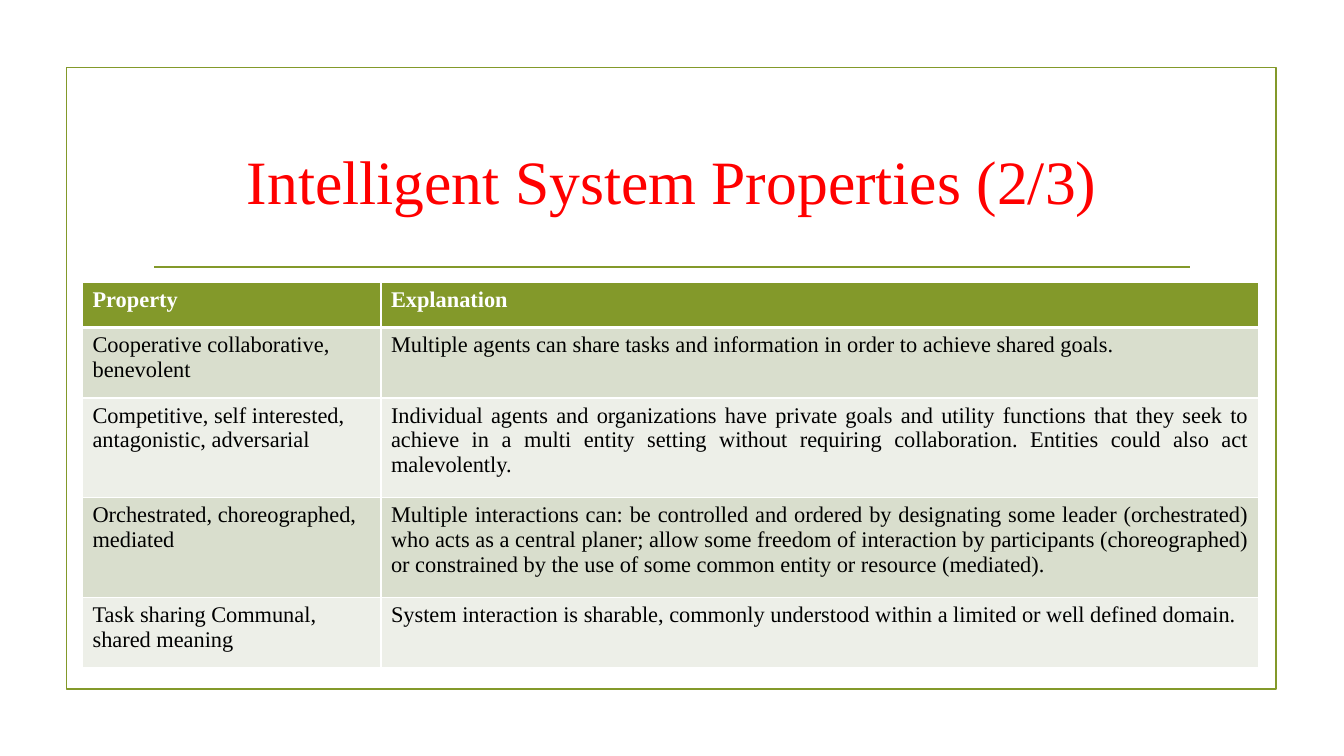
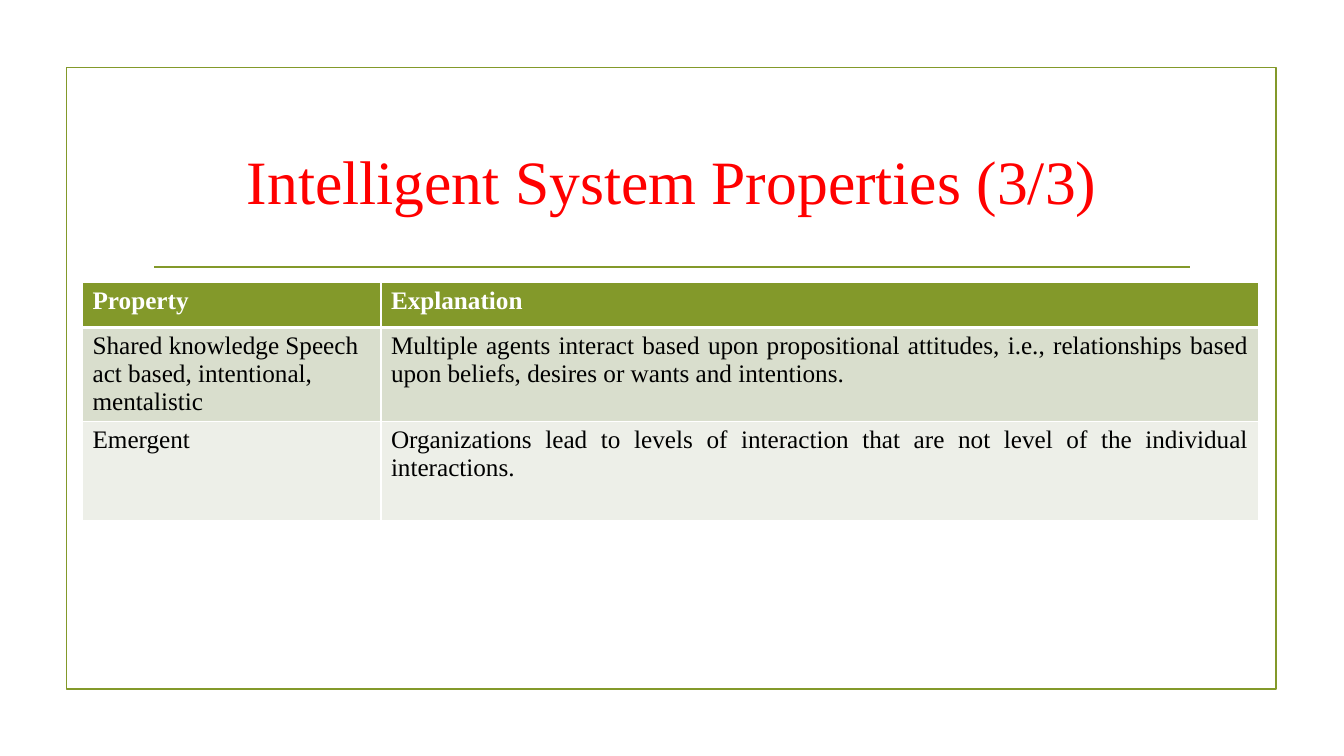
import dataclasses

import lxml.etree
import pptx
import pptx.dml.color
import pptx.enum.shapes
import pptx.enum.text
import pptx.oxml
import pptx.oxml.ns
import pptx.util

Cm = pptx.util.Cm
Pt = pptx.util.Pt
ALIGN = pptx.enum.text.PP_ALIGN


@dataclasses.dataclass(frozen=True)
class Theme:
    font: str = "Times New Roman"
    accent: str = "83992A"
    title: str = "FF0000"
    text: str = "000000"
    white: str = "FFFFFF"
    bands: tuple = ("D9DECD", "EDEFE8")
    title_size: int = 44
    line_width: float = 1.25
    border: int = 1
    header_border: int = 3


THEME = Theme()
HEADINGS = ("Property", "Explanation")
COLUMN_WIDTHS = (7.52, 22.12)
HEADER_HEIGHT = 1.14
SHORT, TALL = 1.78, 2.51

SLIDES = (
    ("Intelligent System Properties (2/3)", 16, (
        (SHORT, "Cooperative collaborative, benevolent",
         "Multiple agents can share tasks and information in order to achieve "
         "shared goals."),
        (TALL, "Competitive, self interested, antagonistic, adversarial",
         "Individual agents and organizations have private goals and utility "
         "functions that they seek to achieve in a multi entity setting without "
         "requiring collaboration. Entities could also act malevolently."),
        (TALL, "Orchestrated, choreographed, mediated",
         "Multiple interactions can: be controlled and ordered by designating "
         "some leader (orchestrated) who acts as a central planer; allow some "
         "freedom of interaction by participants (choreographed) or constrained "
         "by the use of some common entity or resource (mediated)."),
        (SHORT, "Task sharing Communal, shared meaning",
         "System interaction is sharable, commonly understood within a limited "
         "or well defined domain."),
    )),
    ("Intelligent System Properties (3/3)", 18, (
        (SHORT, "Shared knowledge Speech act based, intentional, mentalistic",
         "Multiple agents interact based upon propositional attitudes, i.e., "
         "relationships based upon beliefs, desires or wants and intentions."),
        (TALL, "Emergent",
         "Organizations lead to levels of interaction that are not level of the "
         "individual interactions."),
    )),
)


def rgb(color):
    return pptx.dml.color.RGBColor.from_string(color)


def style_line(line):
    line.color.rgb = rgb(THEME.accent)
    line.width = Pt(THEME.line_width)


def style_paragraph(p, size, color, align, bold=False):
    p.alignment = align
    p.font.name = THEME.font
    p.font.size = Pt(size)
    p.font.bold = bold
    p.font.color.rgb = rgb(color)


def add_frame(slide):
    sp = slide.shapes.add_shape(
        pptx.enum.shapes.MSO_SHAPE.RECTANGLE,
        Cm(1.68), Cm(1.7), Cm(30.48), Cm(15.67))
    sp.shadow.inherit = False
    sp.fill.background()
    style_line(sp.line)


def add_rule(slide):
    rule = slide.shapes.add_connector(
        pptx.enum.shapes.MSO_CONNECTOR.STRAIGHT,
        Cm(3.89), Cm(6.73), Cm(30), Cm(6.73))
    style_line(rule.line)
    lxml.etree.SubElement(
        rule.element.spPr, pptx.oxml.ns.qn("a:effectLst"))


def set_title(slide, text):
    sp = slide.shapes.title
    sp.left, sp.top, sp.width, sp.height = Cm(3.61), Cm(2.72), Cm(26.67), Cm(3.63)
    tf = sp.text_frame
    tf.text = text
    tf.auto_size = pptx.enum.text.MSO_AUTO_SIZE.NONE
    tf.vertical_anchor = pptx.enum.text.MSO_ANCHOR.MIDDLE
    style_paragraph(tf.paragraphs[0], THEME.title_size, THEME.title, ALIGN.CENTER)


def set_borders(cell, top, bottom):
    tc_pr = cell._tc.get_or_add_tcPr()
    widths = {"lnL": THEME.border, "lnR": THEME.border, "lnT": top, "lnB": bottom}
    for side, width in widths.items():
        tc_pr.append(pptx.oxml.parse_xml(
            f'<a:{side} {pptx.oxml.ns.nsdecls("a")} w="{Pt(width)}">'
            f'<a:solidFill><a:srgbClr val="{THEME.white}"/></a:solidFill>'
            f'</a:{side}>'))


def fill_cell(cell, text, row, column, size):
    header = row == 0
    cell.text = text
    justified = column == 1 and not header
    style_paragraph(
        cell.text_frame.paragraphs[0], size,
        THEME.white if header else THEME.text,
        ALIGN.JUSTIFY if justified else ALIGN.LEFT, header)
    set_borders(
        cell,
        THEME.header_border if row == 1 else THEME.border,
        THEME.header_border if header else THEME.border)
    cell.fill.solid()
    cell.fill.fore_color.rgb = rgb(
        THEME.accent if header else THEME.bands[(row - 1) % 2])


def add_property_table(slide, size, properties):
    rows = ((HEADER_HEIGHT, *HEADINGS), *properties)
    table = slide.shapes.add_table(
        len(rows), len(HEADINGS), Cm(2.08), Cm(7.11),
        Cm(sum(COLUMN_WIDTHS)), Cm(sum(row[0] for row in rows))).table
    for column, width in zip(table.columns, COLUMN_WIDTHS):
        column.width = Cm(width)
    for i, (height, *texts) in enumerate(rows):
        table.rows[i].height = Cm(height)
        for j, text in enumerate(texts):
            fill_cell(table.cell(i, j), text, i, j, size)


def main():
    prs = pptx.Presentation()
    prs.slide_width, prs.slide_height = Cm(33.87), Cm(19.05)
    for title, size, properties in SLIDES:
        slide = prs.slides.add_slide(prs.slide_layouts[5])
        add_frame(slide)
        add_rule(slide)
        set_title(slide, title)
        add_property_table(slide, size, properties)
    prs.save("out.pptx")


if __name__ == "__main__":
    main()
